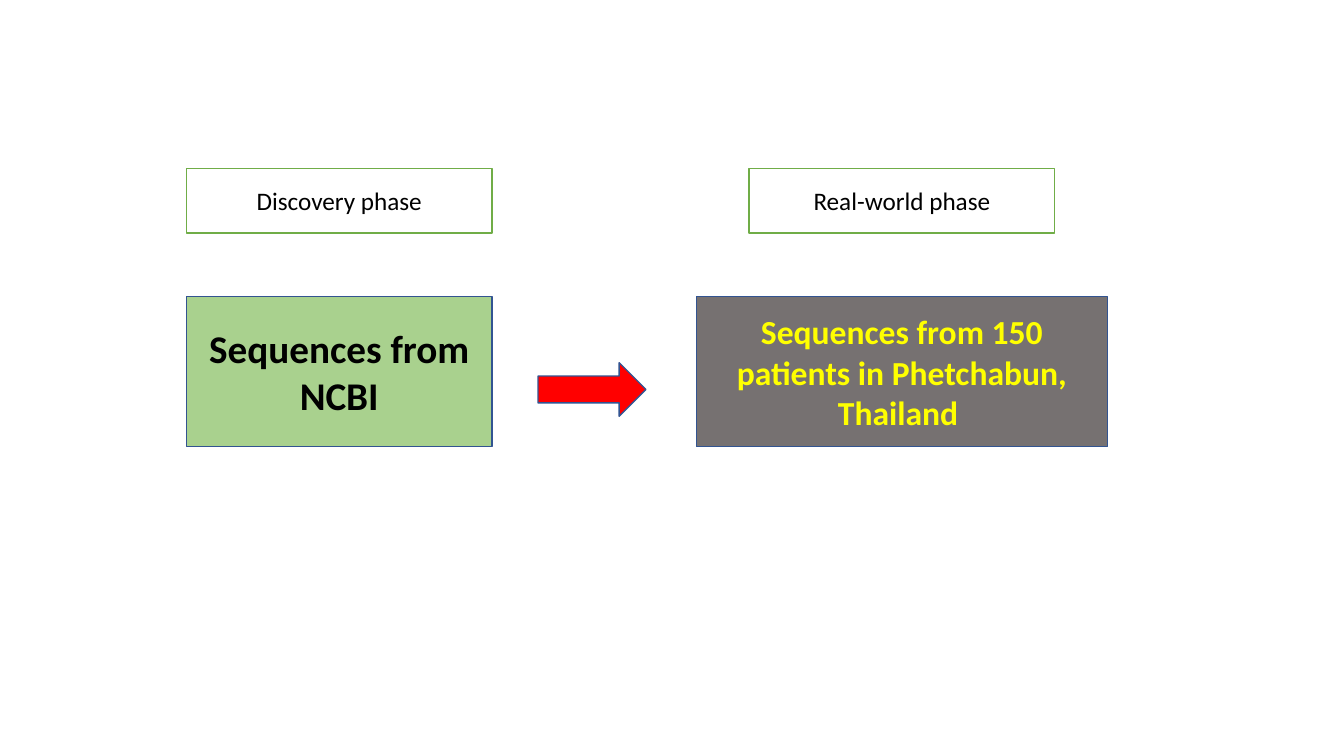
from pptx import Presentation
from pptx.dml.color import RGBColor
from pptx.enum.shapes import MSO_SHAPE
from pptx.enum.text import MSO_ANCHOR, PP_ALIGN
from pptx.util import Cm, Pt

BLACK = RGBColor(0x00, 0x00, 0x00)
WHITE = RGBColor(0xFF, 0xFF, 0xFF)
YELLOW = RGBColor(0xFF, 0xFF, 0x00)
RED = RGBColor(0xFF, 0x00, 0x00)
GRAY = RGBColor(0x76, 0x71, 0x71)
LIGHT_GREEN = RGBColor(0xA9, 0xD1, 0x8E)
GREEN = RGBColor(0x70, 0xAD, 0x47)
BLUE = RGBColor(0x32, 0x54, 0x91)

DISCOVERY_CENTER, REAL_WORLD_CENTER = 8.55, 22.73
PHASE_WIDTH = 7.7


class PhasePage:
    """Holds the slide and its style; lengths are in centimetres."""

    font_name = "Calibri"
    line_width = Pt(1)

    def __init__(self, deck):
        self.page = deck.slides.add_slide(deck.slide_layouts[6])

    def shape(self, kind, left, top, width, height, fill, line):
        shape = self.page.shapes.add_shape(
            kind, Cm(left), Cm(top), Cm(width), Cm(height))
        shape.shadow.inherit = False
        shape.fill.solid()
        shape.fill.fore_color.rgb = fill
        shape.line.color.rgb = line
        shape.line.width = self.line_width
        return shape

    def add_text(self, box, text, size, color, bold=False):
        frame = box.text_frame
        frame.word_wrap = True
        frame.vertical_anchor = MSO_ANCHOR.MIDDLE
        para = frame.paragraphs[0]
        para.alignment = PP_ALIGN.CENTER
        span = para.add_run()
        span.text = text
        span.font.name = self.font_name
        span.font.size = Pt(size)
        span.font.bold = bold
        span.font.color.rgb = color

    def phase_label(self, text, center):
        box = self.shape(MSO_SHAPE.RECTANGLE, center - PHASE_WIDTH / 2, 4.24,
                         PHASE_WIDTH, 1.63, WHITE, GREEN)
        self.add_text(box, text, size=18, color=BLACK)

    def source_box(self, text, center, width, fill, size, color):
        box = self.shape(MSO_SHAPE.RECTANGLE, center - width / 2, 7.47,
                         width, 3.79, fill, BLUE)
        self.add_text(box, text, size=size, color=color, bold=True)

    def arrow(self, left, top, width, height):
        self.shape(MSO_SHAPE.RIGHT_ARROW, left, top, width, height, RED, BLUE)


def main():
    deck = Presentation()
    deck.slide_width, deck.slide_height = Cm(33.87), Cm(19.05)
    page = PhasePage(deck)
    page.source_box("Sequences from NCBI", DISCOVERY_CENTER, PHASE_WIDTH,
                    fill=LIGHT_GREEN, size=28, color=BLACK)
    page.source_box("Sequences from 150 patients in Phetchabun, Thailand ",
                    REAL_WORLD_CENTER, 10.36, fill=GRAY, size=24, color=YELLOW)
    page.phase_label("Discovery phase", DISCOVERY_CENTER)
    page.phase_label("Real-world phase", REAL_WORLD_CENTER)
    page.arrow(13.56, 9.14, 2.72, 1.35)
    deck.save("out.pptx")


if __name__ == "__main__":
    main()
